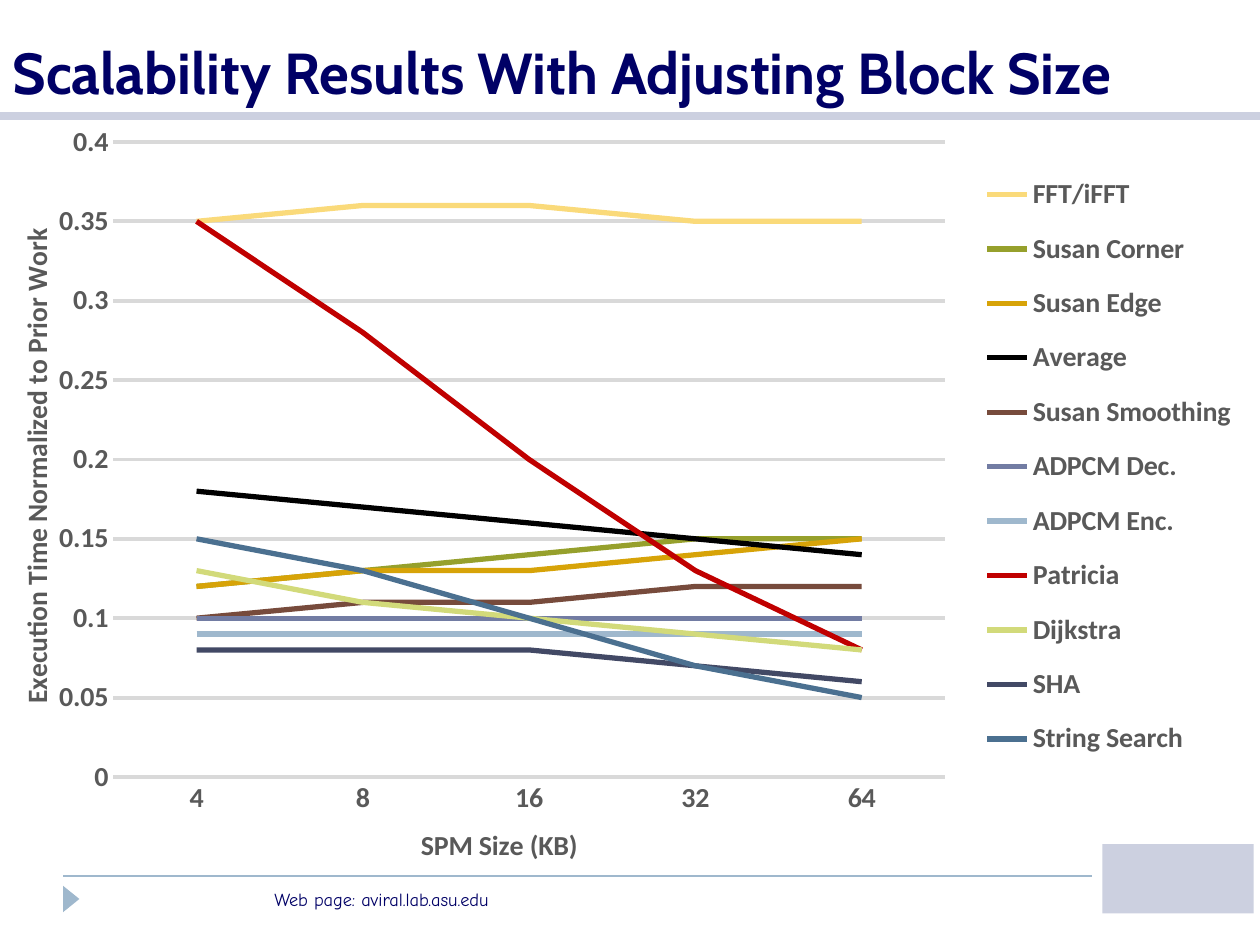
from dataclasses import dataclass
from lxml.etree import SubElement
from pptx import Presentation
from pptx.chart.data import CategoryChartData
from pptx.dml.color import RGBColor
from pptx.enum.chart import XL_CHART_TYPE as ChartType
from pptx.enum.chart import XL_LEGEND_POSITION as LegendPos
from pptx.enum.chart import XL_TICK_MARK as Tick
from pptx.enum.shapes import MSO_CONNECTOR as Connector
from pptx.enum.shapes import MSO_SHAPE as Shape
from pptx.enum.text import MSO_ANCHOR as Anchor
from pptx.enum.text import MSO_AUTO_SIZE as AutoSize
from pptx.enum.text import PP_ALIGN as Align
from pptx.oxml import parse_xml
from pptx.oxml.ns import nsdecls, qn
from pptx.util import Inches, Pt


@dataclass(frozen=True)
class Theme:
    navy: str = "000066"
    rule: str = "CCD0E0"
    accent: str = "9FB8CD"
    grid: str = "D9D9D9"
    label: str = "595959"
    title_font: str = "Cabin"
    chart_font: str = "Calibri"
    footer_font: str = "Comic Neue"
    title_size: float = 33
    chart_size: float = 16
    footer_size: float = 10.5
    series_width: float = 3
    grid_width: float = 2.25


THEME = Theme()
SIZES = ["4", "8", "16", "32", "64"]
SERIES = [
    ("FFT/iFFT", "FADA7A", (0.35, 0.36, 0.36, 0.35, 0.35)),
    ("Susan Corner", "96A02C", (0.12, 0.13, 0.14, 0.15, 0.15)),
    ("Susan Edge", "D7A308", (0.12, 0.13, 0.13, 0.14, 0.15)),
    ("Average", "000000", (0.18, 0.17, 0.16, 0.15, 0.14)),
    ("Susan Smoothing", "774B3C", (0.1, 0.11, 0.11, 0.12, 0.12)),
    ("ADPCM Dec.", "727CA3", (0.1, 0.1, 0.1, 0.1, 0.1)),
    ("ADPCM Enc.", "9FB8CD", (0.09, 0.09, 0.09, 0.09, 0.09)),
    ("Patricia", "C00000", (0.35, 0.28, 0.2, 0.13, 0.08)),
    ("Dijkstra", "D2DA7A", (0.13, 0.11, 0.1, 0.09, 0.08)),
    ("SHA", "424965", (0.08, 0.08, 0.08, 0.07, 0.06)),
    ("String Search", "4B7090", (0.15, 0.13, 0.1, 0.07, 0.05)),
]


def style_font(font, name, size, color, bold=False):
    font.name = name
    font.size = Pt(size)
    font.bold = bold
    font.color.rgb = RGBColor.from_string(color)


def style_line(line, color, width):
    line.color.rgb = RGBColor.from_string(color)
    line.width = Pt(width)


def style_chart_font(font):
    style_font(font, THEME.chart_font, THEME.chart_size, THEME.label, True)


def add_rule(slide, left, right, top, color, width):
    line = slide.shapes.add_connector(
        Connector.STRAIGHT, Inches(left), Inches(top), Inches(right), Inches(top))
    style_line(line.line, color, width)
    SubElement(line._element.spPr, qn("a:effectLst"))


def add_plain_shape(slide, kind, box, color, rotation=0):
    sp = slide.shapes.add_shape(kind, *map(Inches, box))
    sp.shadow.inherit = False
    sp.fill.solid()
    sp.fill.fore_color.rgb = RGBColor.from_string(color)
    sp.line.fill.background()
    sp.rotation = rotation


def add_title(slide, text):
    sp = slide.shapes.title
    sp.left, sp.top, sp.width, sp.height = map(Inches, (0, 0, 10, 0.89))
    tf = sp.text_frame
    tf.auto_size = AutoSize.NONE
    tf.vertical_anchor = Anchor.BOTTOM
    p = tf.paragraphs[0]
    p.alignment = Align.LEFT
    r = p.add_run()
    r.text = text
    style_font(r.font, THEME.title_font, THEME.title_size, THEME.navy, True)


def add_footer(slide, text):
    sp = slide.shapes.add_textbox(*map(Inches, (2.08, 7, 3.75, 0.28)))
    tf = sp.text_frame
    tf.word_wrap = True
    r = tf.paragraphs[0].add_run()
    r.text = text
    style_font(r.font, THEME.footer_font, THEME.footer_size, THEME.navy)


def set_layout(parent, index, **values):
    old = parent.find(qn("c:layout"))
    if old is not None:
        parent.remove(old)
    layout = parse_xml(f"<c:layout {nsdecls('c')}><c:manualLayout/></c:layout>")
    for tag, value in values.items():
        SubElement(layout[0], qn(f"c:{tag}")).set("val", str(value))
    parent.insert(index, layout)


def style_axis(axis, title, x, y, rotation=0):
    style_chart_font(axis.tick_labels.font)
    axis.major_tick_mark = axis.minor_tick_mark = Tick.NONE
    tf = axis.axis_title.text_frame
    r = tf.paragraphs[0].add_run()
    r.text = title
    style_chart_font(r.font)
    element = axis.axis_title._element
    body = element.find(".//" + qn("a:bodyPr"))
    body.set("rot", str(rotation * 60000))
    body.set("vert", "horz")
    set_layout(element, 1, xMode="edge", yMode="edge", x=x, y=y)


def add_line_chart(slide):
    data = CategoryChartData()
    data.categories = SIZES
    for name, _, values in SERIES:
        data.add_series(name, values)
    chart = slide.shapes.add_chart(
        ChartType.LINE, *map(Inches, (0, 0.89, 10, 6.03)), data).chart
    chart.has_title = False
    style_chart_font(chart.font)
    for series, (_, color, _) in zip(chart.plots[0].series, SERIES):
        series.smooth = False
        style_line(series.format.line, color, THEME.series_width)

    style_axis(chart.category_axis, "SPM Size (KB)", 0.33, 0.95)
    style_line(chart.category_axis.format.line, THEME.grid, 0.75)
    axis = chart.value_axis
    style_axis(axis, "Execution Time Normalized to Prior Work", 0.01, 0.16, -90)
    axis.minimum_scale, axis.maximum_scale, axis.major_unit = 0, 0.4, 0.05
    axis.format.line.fill.background()
    axis.has_major_gridlines = True
    style_line(axis.major_gridlines.format.line, THEME.grid, THEME.grid_width)

    chart.has_legend = True
    legend = chart.legend
    legend.position = LegendPos.RIGHT
    legend.include_in_layout = False
    style_chart_font(legend.font)
    set_layout(legend._element, 1, xMode="edge", yMode="edge",
               x=0.77, y=0.06, w=0.22, h=0.83)
    set_layout(chart._chartSpace.chart.plotArea, 0, layoutTarget="inner",
               xMode="edge", yMode="edge", x=0.09, y=0.04, w=0.66, h=0.85)


def main():
    prs = Presentation()
    prs.slide_width, prs.slide_height = Inches(10), Inches(7.5)
    slide = prs.slides.add_slide(prs.slide_layouts[5])
    add_rule(slide, 0.5, 8.67, 6.95, THEME.accent, 1)
    add_rule(slide, 0, 10, 0.92, THEME.rule, 5)
    add_footer(slide, "Web page: aviral.lab.asu.edu")
    add_plain_shape(slide, Shape.ISOSCELES_TRIANGLE,
                    (0.46, 7.07, 0.21, 0.13), THEME.accent, 90)
    add_plain_shape(slide, Shape.RECTANGLE, (8.75, 6.7, 1.2, 0.55), THEME.rule)
    add_title(slide, "Scalability Results With Adjusting Block Size")
    add_line_chart(slide)
    prs.save("out.pptx")


if __name__ == "__main__":
    main()
